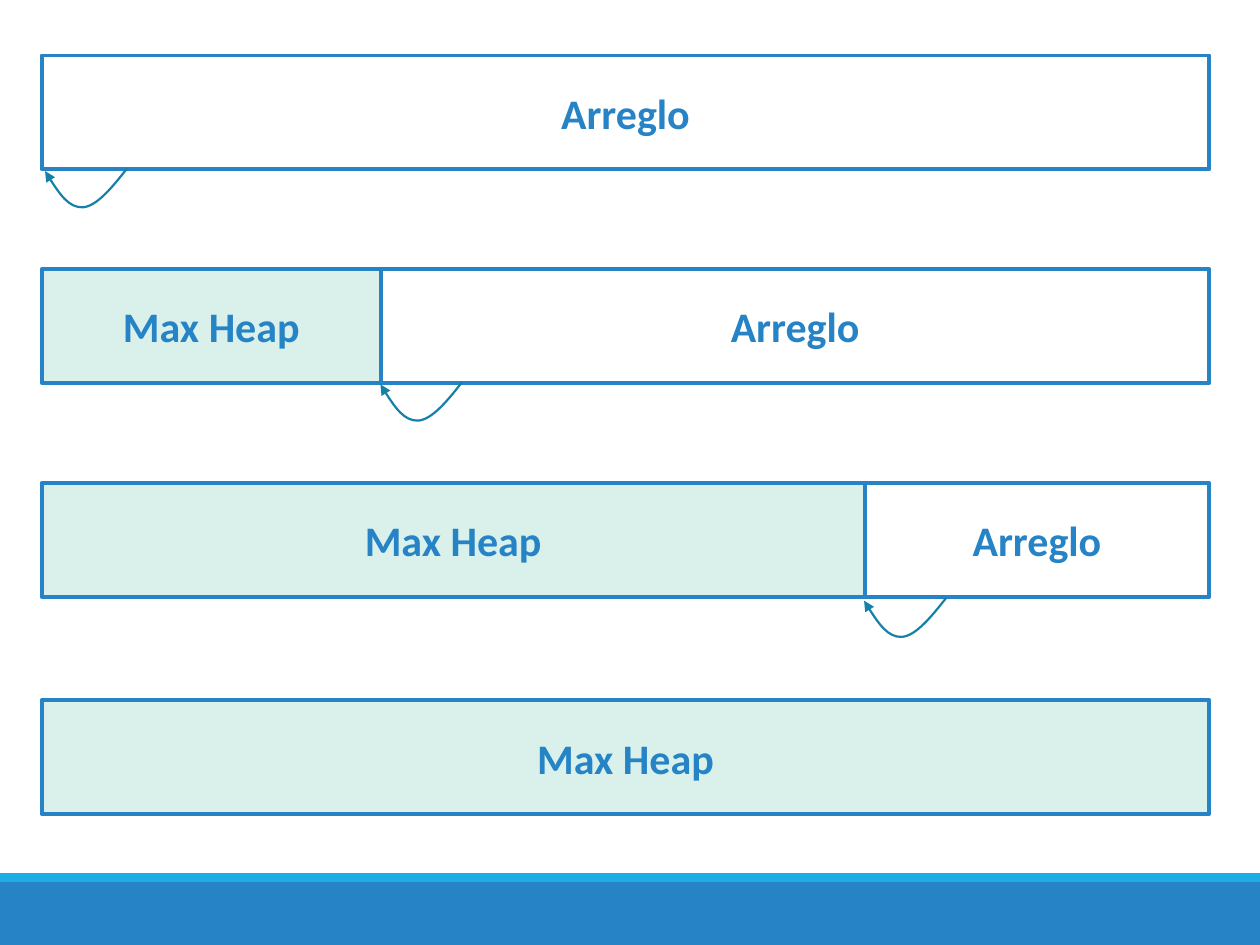
from dataclasses import dataclass
from typing import Optional

from lxml import etree
from pptx import Presentation
from pptx.dml.color import RGBColor
from pptx.enum.shapes import MSO_SHAPE
from pptx.enum.text import MSO_ANCHOR, PP_ALIGN
from pptx.oxml.ns import qn
from pptx.util import Cm, Pt

RECTANGLE = MSO_SHAPE.RECTANGLE
MIDDLE = MSO_ANCHOR.MIDDLE
CENTER = PP_ALIGN.CENTER


@dataclass(frozen=True)
class Theme:
    blue: str = "2683C6"
    sky: str = "1CADE4"
    mint: str = "D9F1EA"
    white: str = "FFFFFF"
    teal: str = "1580A9"
    font: str = "Calibri"
    label_size: float = 24
    border: float = 2.25
    arrow: float = 1.25


@dataclass(frozen=True)
class HeapStage:
    """One step of the heap construction; lengths in centimetres."""
    top: float
    heap_width: float
    arrow_at: Optional[tuple[float, float]] = None


THEME = Theme()
SLIDE_WIDTH, SLIDE_HEIGHT = 25.4, 19.05
ARRAY_LEFT, ARRAY_WIDTH, ARRAY_HEIGHT = 0.84, 23.54, 2.29

STAGES = (
    HeapStage(1.12, 0, (0.91, 3.4)),
    HeapStage(5.43, 6.84, (7.67, 7.7)),
    HeapStage(9.74, 16.59, (17.42, 12.06)),
    HeapStage(14.12, ARRAY_WIDTH),
)

# Start point, then two cubic segments of three points each
HOP_POINTS = ((1.65, 0), (1.35, 0.38), (1.04, 0.76), (0.76, 0.78),
              (0.48, 0.79), (0.23, 0.43), (0, 0.05))


def color(value: str) -> RGBColor:
    return RGBColor.from_string(value)


def write_text(frame, text: str, *, size: float, ink: str, bold: bool = False) -> None:
    frame.word_wrap = True
    frame.vertical_anchor = MIDDLE
    paragraph = frame.paragraphs[0]
    paragraph.alignment = CENTER
    run = paragraph.add_run()
    run.text = text
    run.font.name = THEME.font
    run.font.size = Pt(size)
    run.font.bold = bold
    run.font.color.rgb = color(ink)


def add_band(slide, left: float, top: float, width: float, height: float, fill: str):
    band = slide.shapes.add_shape(RECTANGLE, Cm(left), Cm(top), Cm(width), Cm(height))
    band.shadow.inherit = False
    band.fill.solid()
    band.fill.fore_color.rgb = color(fill)
    band.line.fill.background()
    return band


def add_section(slide, left: float, top: float, width: float, label: str, fill: str) -> None:
    section = add_band(slide, left, top, width, ARRAY_HEIGHT, fill)
    section.line.color.rgb = color(THEME.blue)
    section.line.width = Pt(THEME.border)
    write_text(section.text_frame, label, size=THEME.label_size, ink=THEME.blue, bold=True)


def add_hop(slide, left: float, top: float) -> None:
    start, *rest = [(Cm(left + x), Cm(top + y)) for x, y in HOP_POINTS]
    builder = slide.shapes.build_freeform(*start)
    builder.add_line_segments(rest, close=False)
    hop = builder.convert_to_shape()
    hop.shadow.inherit = False
    hop.fill.background()
    hop.line.color.rgb = color(THEME.teal)
    hop.line.width = Pt(THEME.arrow)

    # Turn each three straight segments into one cubic curve
    outline = next(hop.element.iter(qn("a:path")))
    segments = outline.findall(qn("a:lnTo"))
    for first in range(0, len(segments), 3):
        curve = etree.SubElement(outline, qn("a:cubicBezTo"))
        for segment in segments[first:first + 3]:
            curve.append(segment[0])
            outline.remove(segment)

    line = hop.element.spPr.find(qn("a:ln"))
    etree.SubElement(line, qn("a:tailEnd"), type="triangle")


def add_stage(slide, stage: HeapStage) -> None:
    array_width = ARRAY_WIDTH - stage.heap_width
    if array_width:
        add_section(slide, ARRAY_LEFT + stage.heap_width, stage.top, array_width,
                    "Arreglo", THEME.white)
    if stage.heap_width:
        add_section(slide, ARRAY_LEFT, stage.top, stage.heap_width, "Max Heap", THEME.mint)


def main() -> None:
    presentation = Presentation()
    presentation.slide_width = Cm(SLIDE_WIDTH)
    presentation.slide_height = Cm(SLIDE_HEIGHT)
    slide = presentation.slides.add_slide(presentation.slide_layouts[6])

    # Footer bands
    add_band(slide, 0, 17.78, SLIDE_WIDTH, 1.27, THEME.blue)
    add_band(slide, 0, 17.6, SLIDE_WIDTH, 0.18, THEME.sky)

    # Array stages, from unsorted array to complete heap
    for stage in STAGES:
        add_stage(slide, stage)

    # Arrows that move the heap boundary
    for stage in STAGES:
        if stage.arrow_at:
            add_hop(slide, *stage.arrow_at)

    presentation.save("out.pptx")


if __name__ == "__main__":
    main()
